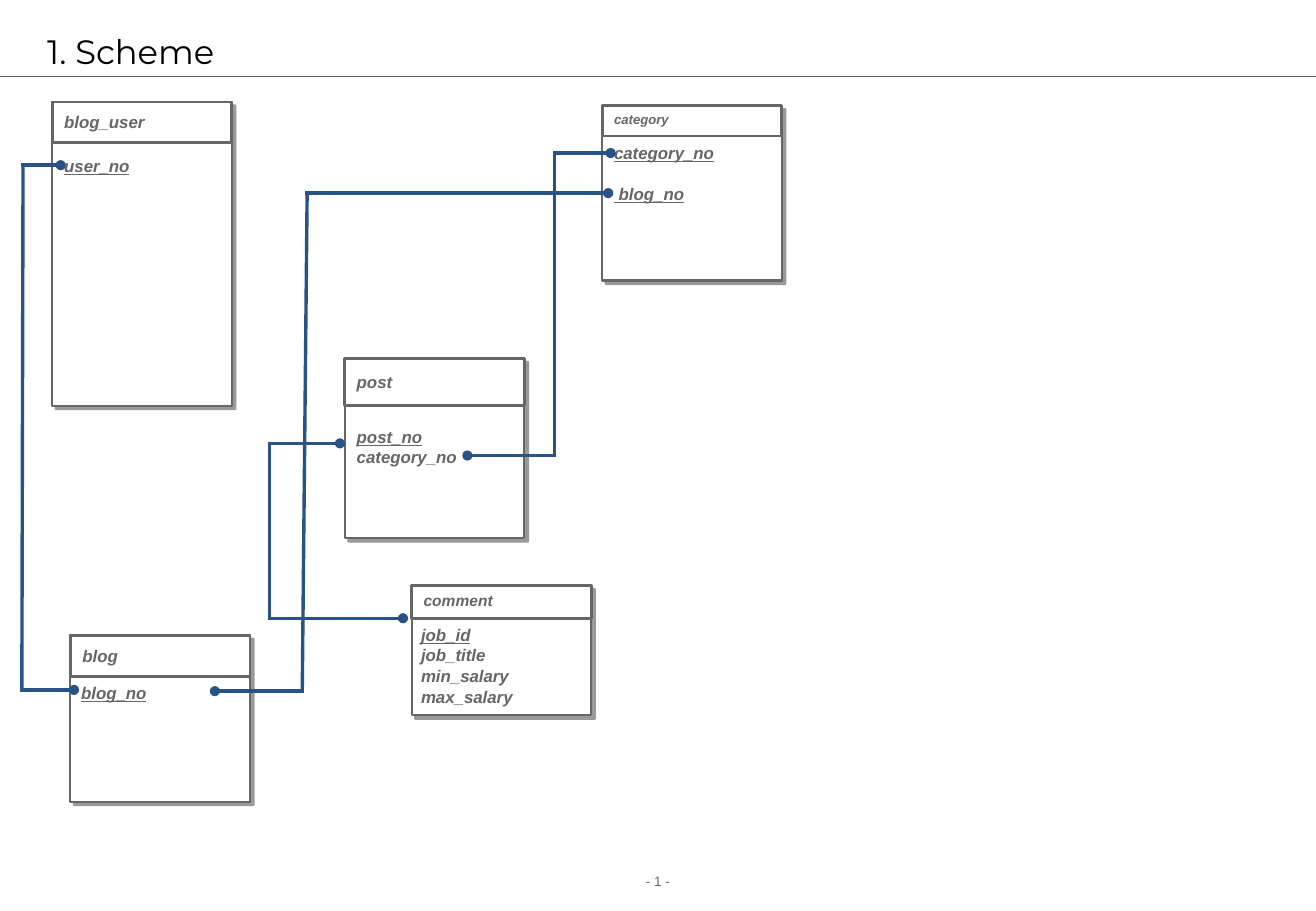
from dataclasses import dataclass
from itertools import pairwise

from lxml import etree
from pptx import Presentation
from pptx.dml.color import RGBColor
from pptx.enum.shapes import MSO_CONNECTOR, MSO_SHAPE
from pptx.enum.text import MSO_ANCHOR, PP_ALIGN
from pptx.oxml.ns import qn
from pptx.util import Inches, Pt

RECT = MSO_SHAPE.RECTANGLE
STRAIGHT = MSO_CONNECTOR.STRAIGHT
MIDDLE, TOP = MSO_ANCHOR.MIDDLE, MSO_ANCHOR.TOP
LEFT, CENTER = PP_ALIGN.LEFT, PP_ALIGN.CENTER

# The slide is a grid of square cells, ten to the inch.
COLS, ROWS = 108.4, 75
CARD = 14.8


@dataclass(frozen=True)
class Theme:
    gray: RGBColor = RGBColor.from_string("666666")
    blue: RGBColor = RGBColor.from_string("2A5385")
    black: RGBColor = RGBColor.from_string("000000")
    white: RGBColor = RGBColor.from_string("FFFFFF")
    body: str = "Arial"
    head: str = "Montserrat"
    title: float = 20
    text: float = 10
    page: float = 8
    pitch: float = 12.2


THEME = Theme()
FIELD = {"name": THEME.body, "size": Pt(THEME.text), "bold": True, "italic": True}

# name, name size, name line spacing, left, top, height, name height,
# field shift, field top, fields as (text, is key, space before)
TABLES = [
    ("category", 7.8, 0.8, 49.6, 8.7, 14.4, 2.5, 0, 11.2,
     [("category_no", True, 0), (" blog_no", True, THEME.pitch)]),
    ("post", 10, 1, 28.4, 29.5, 14.8, 3.9, 0, 34.6,
     [("post_no", True, 0), ("category_no", False, 0)]),
    ("comment", 9.2, 0.9, 33.9, 48.2, 10.7, 2.7, -0.2, 50.9,
     [("job_id", True, 0), ("job_title", False, 0),
      ("min_salary", False, 0), ("max_salary", False, 0)]),
    ("blog_user", 10, 1, 4.3, 8.4, 25, 3.3, 0, 12.3, [("user_no", True, 0)]),
    ("blog", 10, 1, 5.8, 52.3, 13.7, 3.4, -0.1, 55.7, [("blog_no", True, 0)]),
]

# Corners of each link, from key to key
LINKS = [
    [(50.3, 12.6), (45.7, 12.6), (45.7, 37.5), (38.5, 37.5)],
    [(5, 13.6), (1.9, 13.6), (1.8, 56.8), (6.1, 56.8)],
    [(28, 36.5), (22.2, 36.5), (22.2, 50.9), (33.2, 50.9)],
    [(50.1, 15.9), (25.3, 15.9), (24.9, 56.9), (17.7, 56.9)],
]


def cells(*counts):
    return [Inches(n / 10) for n in counts]


def apply(item, values):
    for name, value in values.items():
        setattr(item, name, value)


def write(para, text, color, font, align=LEFT, **layout):
    apply(para, {"alignment": align, **layout})
    run = para.add_run()
    run.text = text
    apply(run.font, font)
    run.font.color.rgb = color


def add_text(shapes, at, anchor=TOP):
    frame = shapes.add_textbox(*cells(*at)).text_frame
    apply(frame, {"word_wrap": True, "vertical_anchor": anchor})
    return frame


def add_box(shapes, at, width):
    box = shapes.add_shape(RECT, *cells(*at))
    box.fill.solid()
    box.fill.fore_color.rgb = THEME.white
    box.line.color.rgb = THEME.gray
    box.line.width = Pt(width)
    box.shadow.inherit = False
    return box


def add_shade(box):
    """Give the box a hard shadow, down and to the right."""
    effects = box._element.spPr.find(qn("a:effectLst"))
    shade = etree.SubElement(effects, qn("a:outerShdw"), dist=str(Pt(3)),
                             dir="2700000", algn="tl", rotWithShape="0")
    color = etree.SubElement(shade, qn("a:srgbClr"), val=str(THEME.black))
    etree.SubElement(color, qn("a:alpha"), val="40000")


def add_line(shapes, start, end, color, width, dots=()):
    """Draw a line; dots names the ends (headEnd, tailEnd) that get one."""
    line = shapes.add_connector(STRAIGHT, *cells(*start, *end))
    line.line.color.rgb = color
    line.line.width = Pt(width)
    props = line._element.spPr
    stroke = props.find(qn("a:ln"))
    stroke.set("cap", "sq")
    for dot in dots:
        etree.SubElement(stroke, qn(f"a:{dot}"), type="oval")
    etree.SubElement(props, qn("a:effectLst"))


def add_entity(slide, name, size, space, left, top, height, bar, shift, first, fields):
    group = slide.shapes.add_group_shape().shapes
    add_shade(add_box(group, (left, top, CARD, height), 1.25))
    frame = add_box(group, (left, top, CARD, bar), 1.75).text_frame
    apply(frame, {"word_wrap": True, "vertical_anchor": MIDDLE})
    write(frame.paragraphs[0], name, THEME.gray, {**FIELD, "size": Pt(size)},
          line_spacing=space)

    rows = len(fields) * THEME.pitch / 7.2 + 1
    frame = add_text(group, (left + shift, first, CARD, rows))
    for index, (text, key, gap) in enumerate(fields):
        para = frame.add_paragraph() if index else frame.paragraphs[0]
        write(para, text, THEME.gray, {**FIELD, "underline": key},
              line_spacing=Pt(THEME.pitch), space_before=Pt(gap))


def add_link(slide, corners):
    sides = list(pairwise(corners))
    for index, (start, end) in enumerate(sides):
        dots = ["headEnd"] * (index == 0) + ["tailEnd"] * (index == len(sides) - 1)
        add_line(slide.shapes, start, end, THEME.blue, 2, dots)


def add_frame(slide):
    """Add the title, its rule and the page number."""
    page = add_text(slide.shapes, (0, 71.4, COLS, 2.4))
    write(page.paragraphs[0], "- 1 -", THEME.gray,
          {"name": THEME.body, "size": Pt(THEME.page)}, CENTER)
    add_line(slide.shapes, (0, 6.3), (COLS, 6.3), THEME.gray, 0.75)
    title = add_text(slide.shapes, (2.9, 2.1, 101.7, 4.2), MIDDLE)
    write(title.paragraphs[0], "1. Scheme", THEME.black,
          {"name": THEME.head, "size": Pt(THEME.title)})


def main():
    deck = Presentation()
    deck.slide_width, deck.slide_height = cells(COLS, ROWS)
    slide = deck.slides.add_slide(deck.slide_layouts[6])
    add_frame(slide)
    for table in TABLES:
        add_entity(slide, *table)
    for corners in LINKS:
        add_link(slide, corners)
    deck.save("out.pptx")


if __name__ == "__main__":
    main()
